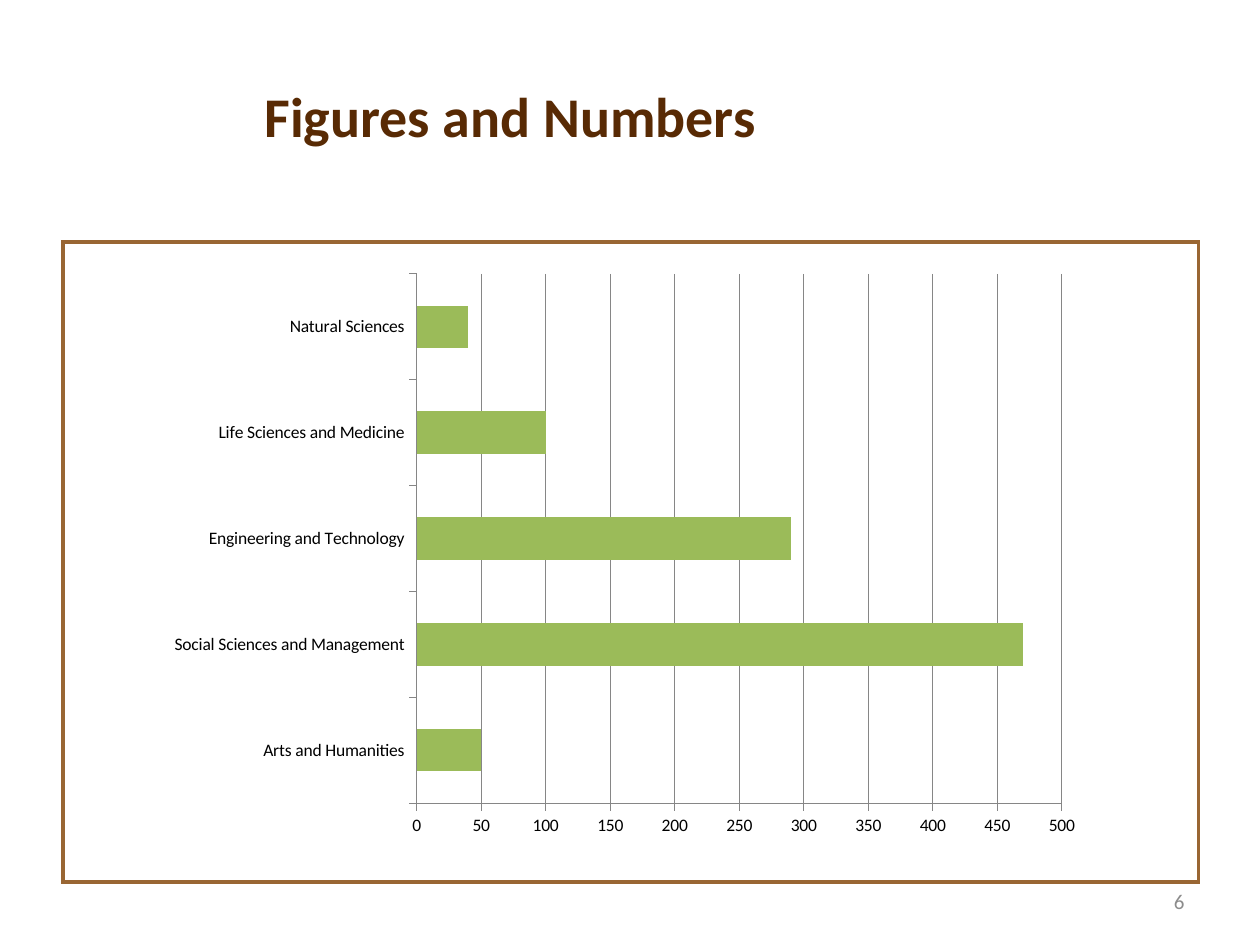
from dataclasses import dataclass

from lxml.etree import SubElement
from pptx import Presentation
from pptx.chart.data import CategoryChartData
from pptx.dml.color import RGBColor
from pptx.enum.chart import XL_CHART_TYPE as ChartType, XL_TICK_MARK as Tick
from pptx.enum.text import MSO_ANCHOR as Anchor, PP_ALIGN as Align
from pptx.oxml import parse_xml
from pptx.oxml.ns import nsdecls, qn
from pptx.util import Inches, Pt


@dataclass(frozen=True)
class Theme:
    """Colours, type sizes and font of the slide."""
    font: str = "Calibri"
    title: str = "582A04"
    number: str = "8C8C8C"
    label: str = "000000"
    paper: str = "FFFFFF"
    frame: str = "996633"
    bars: tuple = ("4F81BD", "C0504D", "9BBB59")
    axis: str = "868686"
    title_size: int = 32
    number_size: int = 12
    label_size: int = 10
    frame_width: float = 2.25
    axis_width: float = 0.75


THEME = Theme()
FIELDS = ("Arts and Humanities", "Social Sciences and Management",
          "Engineering and Technology", "Life Sciences and Medicine",
          "Natural Sciences")
COUNTS = {
    "Series 1": (None,) * len(FIELDS),
    "Series 2": (None,) * len(FIELDS),
    "Series 3": (50, 470, 290, 100, 40),
}


def apply(target, values):
    """Set each named attribute of the target."""
    for name, value in values.items():
        setattr(target, name, value)


def style_font(font, size, color, bold=False):
    """Give a font the theme typeface with a size and colour."""
    apply(font, {"name": THEME.font, "size": Pt(size), "bold": bold})
    font.color.rgb = RGBColor.from_string(color)


def paint(fill, color):
    """Make a fill solid in the given colour."""
    fill.solid()
    fill.fore_color.rgb = RGBColor.from_string(color)


def add_label(slide, box, text, size, color, bold=False, align=Align.LEFT, indent=0):
    """Place one line of text, vertically centred in its box."""
    frame = slide.shapes.add_textbox(*map(Inches, box)).text_frame
    apply(frame, {"word_wrap": True, "vertical_anchor": Anchor.MIDDLE})
    line = frame.paragraphs[0]
    line.alignment = align
    if indent:
        line._p.get_or_add_pPr().set("marL", str(Inches(indent)))
    run = line.add_run()
    run.text = text
    style_font(run.font, size, color, bold)


def add_frame(slide, box):
    """Place the one-cell table that borders the chart."""
    table = slide.shapes.add_table(1, 1, *map(Inches, box)).table
    apply(table, {"first_row": False, "horz_banding": False})
    cell = table.cell(0, 0)
    properties = cell._tc.get_or_add_tcPr()
    for side in ("a:lnL", "a:lnR", "a:lnT", "a:lnB"):
        border = SubElement(properties, qn(side), w=str(Pt(THEME.frame_width)))
        fill = SubElement(border, qn("a:solidFill"))
        SubElement(fill, qn("a:srgbClr"), val=THEME.frame)
    paint(cell.fill, THEME.paper)


def style_line(line):
    """Give an axis or grid line the theme stroke."""
    line.color.rgb = RGBColor.from_string(THEME.axis)
    line.width = Pt(THEME.axis_width)


def set_plot_area(chart, area):
    """Fix the inner plot area, in fractions of the chart box."""
    modes = '<c:layoutTarget val="inner"/><c:xMode val="edge"/><c:yMode val="edge"/>'
    sizes = "".join(f'<c:{key} val="{value}"/>' for key, value in area.items())
    layout = parse_xml(
        f'<c:layout {nsdecls("c")}><c:manualLayout>{modes}{sizes}'
        "</c:manualLayout></c:layout>")
    plot_area = chart._chartSpace.chart.plotArea
    for old in plot_area.findall(qn("c:layout")):
        plot_area.remove(old)
    plot_area.insert(0, layout)


def add_bars(slide, box):
    """Place the stacked bar chart of fields of study."""
    data = CategoryChartData()
    data.categories = FIELDS
    for name, counts in COUNTS.items():
        data.add_series(name, counts)
    chart = slide.shapes.add_chart(
        ChartType.BAR_STACKED, *map(Inches, box), data).chart
    apply(chart, {"has_legend": False, "has_title": False})
    style_font(chart.font, THEME.label_size, THEME.label)
    plot = chart.plots[0]
    apply(plot, {"gap_width": 150, "overlap": 100, "vary_by_categories": False})
    for series, color in zip(plot.series, THEME.bars):
        paint(series.format.fill, color)
    field_axis, count_axis = chart.category_axis, chart.value_axis
    for axis in (field_axis, count_axis):
        apply(axis, {"major_tick_mark": Tick.OUTSIDE, "minor_tick_mark": Tick.NONE})
        style_line(axis.format.line)
    apply(count_axis, {"minimum_scale": 0, "maximum_scale": 500, "major_unit": 50,
                       "has_major_gridlines": True})
    style_line(count_axis.major_gridlines.format.line)
    set_plot_area(chart, {"x": 0.28, "y": 0.02, "w": 0.69, "h": 0.9})


def build_slide(deck):
    """Add the slide with its title, framed chart and number."""
    slide = deck.slides.add_slide(deck.slide_layouts[6])
    add_frame(slide, (0.5, 1.92, 9.01, 5.08))
    add_label(slide, (7.17, 6.95, 2.33, 0.4), "6", THEME.number_size,
              THEME.number, align=Align.RIGHT)
    add_label(slide, (1.5, 0.5, 7.22, 0.83), "Figures and Numbers",
              THEME.title_size, THEME.title, bold=True, indent=0.5)
    add_bars(slide, (1.23, 2.08, 7.42, 4.67))


deck = Presentation()
apply(deck, {"slide_width": Inches(10), "slide_height": Inches(7.5)})
build_slide(deck)
deck.save("out.pptx")
